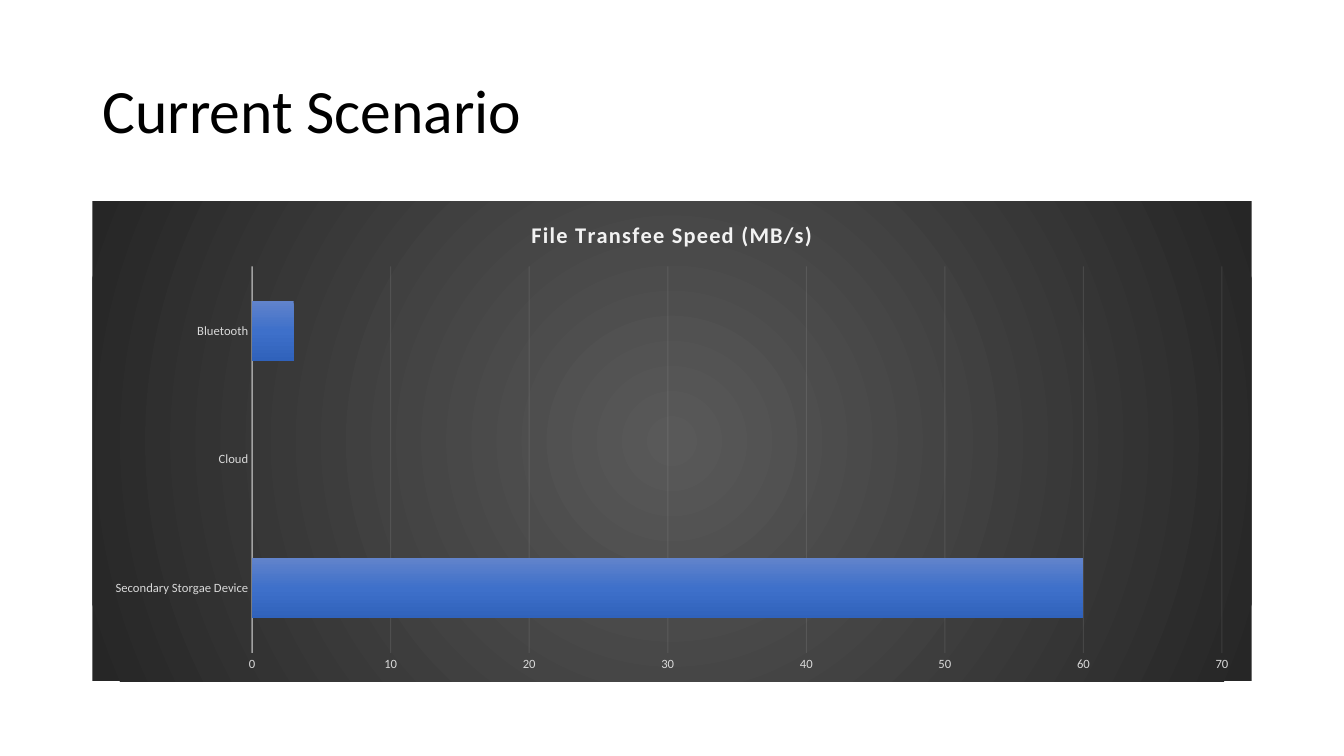
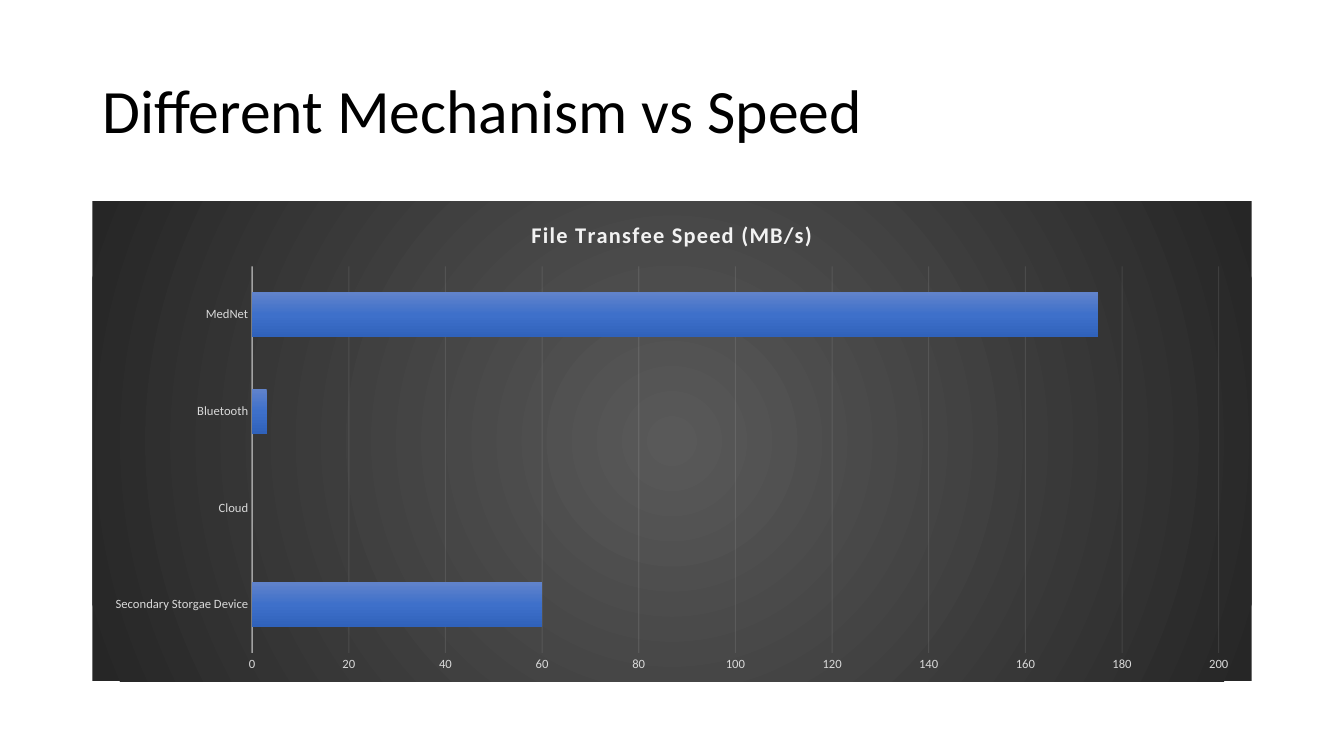
import pptx
import pptx.chart.data
import pptx.dml.color
import pptx.enum.chart
import pptx.enum.text
import pptx.oxml
import pptx.oxml.ns
import pptx.util

Pt = pptx.util.Pt

COLORS = {
    "ink": "000000",
    "light": "F2F2F2",
    "label": "D9D9D9",
    "panel_center": "595959",
    "panel_edge": "262626",
    "bar_top": "6183CB",
    "bar_middle": "3E70CA",
    "bar_bottom": "3062BB",
}
PANEL_STOPS = [(0, "panel_center"), (100, "panel_edge")]
BAR_STOPS = [(0, "bar_top"), (50, "bar_middle"), (100, "bar_bottom")]
RADIAL = '<a:path path="circle"><a:fillToRect l="50000" t="50000" r="50000" b="50000"/></a:path>'
DOWNWARD = '<a:lin ang="5400000" scaled="0"/>'

SPEED_TITLE = "File Transfee Speed (MB/s)"
CURRENT_SPEEDS = {"Secondary Storgae Device": 60, "Cloud": 0, "Bluetooth": 3}
ALL_SPEEDS = {**CURRENT_SPEEDS, "MedNet": 175}


def rgb(color):
    return pptx.dml.color.RGBColor.from_string(COLORS[color])


def gradient_xml(stops, direction):
    stop_xml = "".join(
        f'<a:gs pos="{percent * 1000}"><a:srgbClr val="{COLORS[color]}"/></a:gs>'
        for percent, color in stops
    )
    return (
        f'<a:gradFill {pptx.oxml.ns.nsdecls("a")} rotWithShape="1">'
        f"<a:gsLst>{stop_xml}</a:gsLst>{direction}</a:gradFill>"
    )


class Deck:
    FONT = "Calibri"
    LEFT, WIDTH = 66, 828

    def __init__(self):
        self.presentation = pptx.Presentation()
        self.presentation.slide_width = Pt(960)
        self.presentation.slide_height = Pt(540)
        self.slide = None

    def place(self, top, height):
        """Return left, top, width and height of a band within the side margins."""
        return Pt(self.LEFT), Pt(top), Pt(self.WIDTH), Pt(height)

    def style(self, font, size, color, bold=False):
        font.name = self.FONT
        font.size = Pt(size)
        font.bold = bold
        font.color.rgb = rgb(color)

    def translucent_line(self, line, width, opacity):
        line.width = Pt(width)
        line.color.rgb = rgb("light")
        color = line._get_or_add_ln().find(".//" + pptx.oxml.ns.qn("a:srgbClr"))
        color.append(pptx.oxml.parse_xml(
            f'<a:alpha {pptx.oxml.ns.nsdecls("a")} val="{opacity * 1000}"/>'))

    def add_slide(self, heading):
        title_only = self.presentation.slide_layouts[5]
        self.slide = self.presentation.slides.add_slide(title_only)
        title = self.slide.shapes.title
        title.left, title.top, title.width, title.height = self.place(28.75, 104.4)
        frame = title.text_frame
        frame.text = heading
        frame.word_wrap = True
        frame.auto_size = pptx.enum.text.MSO_AUTO_SIZE.NONE
        frame.vertical_anchor = pptx.enum.text.MSO_ANCHOR.MIDDLE
        paragraph = frame.paragraphs[0]
        paragraph.alignment = pptx.enum.text.PP_ALIGN.LEFT
        paragraph.line_spacing = 0.9
        self.style(paragraph.runs[0].font, 44, "ink")

    def add_speed_chart(self, speeds, maximum, step):
        data = pptx.chart.data.CategoryChartData()
        data.categories = list(speeds)
        data.add_series(SPEED_TITLE, list(speeds.values()))
        chart = self.slide.shapes.add_chart(
            pptx.enum.chart.XL_CHART_TYPE.BAR_CLUSTERED,
            *self.place(143.75, 342.75), data).chart
        chart.has_legend = False
        self.style(chart.font, 10, "ink")
        self.style_panel(chart)
        self.style_chart_title(chart)
        self.style_bars(chart.plots[0])
        self.style_axes(chart, maximum, step)

    def style_panel(self, chart):
        chart._chartSpace.chart.addnext(pptx.oxml.parse_xml(
            f'<c:spPr {pptx.oxml.ns.nsdecls("c", "a")}>'
            f"{gradient_xml(PANEL_STOPS, RADIAL)}"
            "<a:ln><a:noFill/></a:ln></c:spPr>"))

    def style_chart_title(self, chart):
        frame = chart.chart_title.text_frame
        frame.text = SPEED_TITLE
        font = frame.paragraphs[0].runs[0].font
        self.style(font, 16, "light", bold=True)
        font._rPr.set("spc", "100")

    def style_bars(self, plot):
        plot.gap_width = 115
        plot.overlap = -20
        plot.vary_by_categories = False
        bars = plot.series[0]
        bars.invert_if_negative = False
        bars._element.get_or_add_spPr().insert(
            0, pptx.oxml.parse_xml(gradient_xml(BAR_STOPS, DOWNWARD)))
        bars.format.line.fill.background()

    def style_axes(self, chart, maximum, step):
        methods, speed = chart.category_axis, chart.value_axis
        for axis in (methods, speed):
            axis.major_tick_mark = pptx.enum.chart.XL_TICK_MARK.NONE
            axis.minor_tick_mark = pptx.enum.chart.XL_TICK_MARK.NONE
            self.style(axis.tick_labels.font, 9, "label")
        self.translucent_line(methods.format.line, 1, 54)
        speed.minimum_scale = 0
        speed.maximum_scale = maximum
        speed.major_unit = step
        speed.format.line.fill.background()
        speed.has_major_gridlines = True
        self.translucent_line(speed.major_gridlines.format.line, 0.75, 10)


def main():
    deck = Deck()
    deck.add_slide("Current Scenario")
    deck.add_speed_chart(CURRENT_SPEEDS, maximum=70, step=10)
    deck.add_slide("Different Mechanism vs Speed")
    deck.add_speed_chart(ALL_SPEEDS, maximum=200, step=20)
    deck.presentation.save("out.pptx")


if __name__ == "__main__":
    main()
